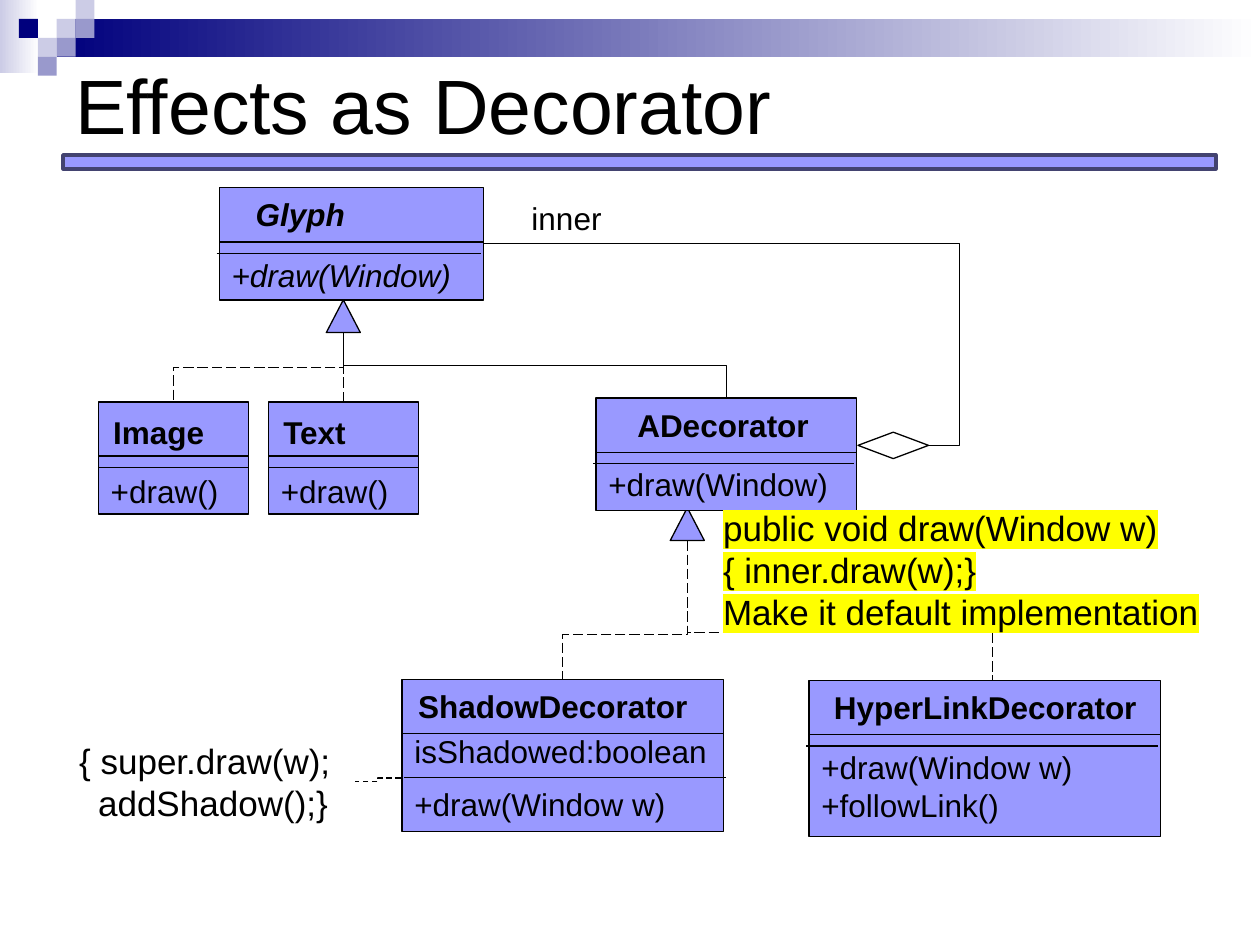
from lxml.etree import SubElement
from pptx import Presentation
from pptx.dml.color import RGBColor
from pptx.enum.dml import MSO_LINE
from pptx.enum.shapes import MSO_CONNECTOR, MSO_SHAPE
from pptx.enum.text import MSO_ANCHOR, PP_ALIGN
from pptx.oxml.ns import qn
from pptx.util import Inches, Pt

BLACK = RGBColor(0x00, 0x00, 0x00)
WHITE = RGBColor(0xFF, 0xFF, 0xFF)
NAVY = RGBColor(0x00, 0x00, 0x7D)
PALE = RGBColor(0xCC, 0xCC, 0xE6)
LAVENDER = RGBColor(0x99, 0x99, 0xCC)
VIOLET = RGBColor(0x99, 0x99, 0xFF)
RULE_EDGE = RGBColor(0x43, 0x43, 0x70)
FONT = "Arial"


def add_preset(slide, kind, left, top, width, height, fill=None, edge=None, weight=0.75):
    shape = slide.shapes.add_shape(
        kind, Inches(left), Inches(top), Inches(width), Inches(height))
    shape.shadow.inherit = False
    if fill is None:
        shape.fill.background()
    else:
        shape.fill.solid()
        shape.fill.fore_color.rgb = fill
    if edge is None:
        shape.line.fill.background()
    else:
        shape.line.color.rgb = edge
        shape.line.width = Pt(weight)
    return shape


def add_text(slide, left, top, width, height, lines, size=18, bold=False, italic=False):
    box = slide.shapes.add_textbox(
        Inches(left), Inches(top), Inches(width), Inches(height))
    frame = box.text_frame
    frame.word_wrap = True
    frame.text = "\n".join(lines)
    for paragraph in frame.paragraphs:
        for run in paragraph.runs:
            font = run.font
            font.name, font.size, font.color.rgb = FONT, Pt(size), BLACK
            font.bold, font.italic = bold, italic
    return frame


def add_line(slide, begin, end, kind=MSO_CONNECTOR.STRAIGHT, dash=None):
    """Join two points given in EMU."""
    connector = slide.shapes.add_connector(kind, *map(int, begin + end))
    connector.line.color.rgb = BLACK
    connector.line.width = Pt(0.75)
    if dash is not None:
        connector.line.dash_style = dash
    SubElement(connector._element.spPr, qn("a:effectLst"))
    return connector


def add_elbow(slide, begin, end, bend=0.5, dash=None):
    """Bent line that leaves sideways and turns at the given share of its width."""
    connector = add_line(slide, begin, end, MSO_CONNECTOR.ELBOW, dash)
    adjustments = connector._element.spPr.find(qn("a:prstGeom")).get_or_add_avLst()
    SubElement(adjustments, qn("a:gd"), name="adj1", fmla=f"val {round(bend * 100000)}")
    return connector


def add_inheritance(slide, triangle, child, bend=0.5, dash=None, shift=0):
    """Bent line that drops from a triangle to the top of a child class."""
    x1, y1 = triangle.left + triangle.width / 2, triangle.top + triangle.height
    x2, y2 = child.left + child.width / 2 + Inches(shift), child.top
    center_x, center_y = (x1 + x2) / 2, (y1 + y2) / 2
    half_width, half_height = (y2 - y1) / 2, abs(x2 - x1) / 2
    side = 1 if x2 > x1 else -1
    connector = add_elbow(
        slide,
        (center_x + side * half_width, center_y - half_height),
        (center_x - side * half_width, center_y + half_height),
        bend, dash)
    connector._element.spPr.find(qn("a:xfrm")).set("rot", str((-side % 4) * 5400000))


def add_class(slide, left, top, width, height, name, members, name_at=(0.1, 0.01),
              members_at=0.49, second_rule=(-0.02, 0.52), abstract=False):
    box = add_preset(slide, MSO_SHAPE.RECTANGLE, left, top, width, height, VIOLET, BLACK)
    for x, y in ((0, 0.43), second_rule):
        add_line(slide, (Inches(left + x), Inches(top + y)),
                 (Inches(left + x + width), Inches(top + y)))
    across, down = name_at
    add_text(slide, left + across, top + down, width - across, 0.4, [name],
             bold=True, italic=abstract)
    frame = add_text(slide, left, top + members_at, width, height - members_at,
                     members, italic=abstract)
    return box, frame


def add_title(slide, left, top, width, height, text):
    title = slide.shapes.title
    title.left, title.top = Inches(left), Inches(top)
    title.width, title.height = Inches(width), Inches(height)
    frame = title.text_frame
    frame.text = text
    frame.vertical_anchor = MSO_ANCHOR.MIDDLE
    frame.paragraphs[0].alignment = PP_ALIGN.LEFT
    font = frame.paragraphs[0].runs[0].font
    font.name, font.size, font.color.rgb = FONT, Pt(44), BLACK


def add_banner(slide, left, top, width):
    """Two fading bars with a checker of small squares, and the rule below the title."""
    unit = 0.15
    bars = ((0, 0, 0.31, 0.58, PALE), (3 * unit, unit, width - 3 * unit, 2 * unit, NAVY))
    for x, y, bar_width, bar_height, start in bars:
        bar = add_preset(slide, MSO_SHAPE.RECTANGLE, left + x, top + y,
                         bar_width, bar_height, start)
        bar.fill.gradient()
        bar.fill.gradient_angle = 0
        for stop, color in zip(bar.fill.gradient_stops, (start, WHITE)):
            stop.color.rgb = color
    squares = ((3, 1, PALE), (4, 0, PALE), (4, 1, LAVENDER), (2, 2, PALE),
               (1, 1, NAVY), (3, 2, LAVENDER), (2, 3, LAVENDER))
    for column, row, color in squares:
        add_preset(slide, MSO_SHAPE.RECTANGLE, left + column * unit, top + row * unit,
                   unit, unit, color)
    add_preset(slide, MSO_SHAPE.RECTANGLE, left + 0.5, top + 1.23, width - 0.85, 0.11,
               VIOLET, RULE_EDGE, 2)


def add_highlighted_note(slide, left, top, width, height, lines):
    frame = add_text(slide, left, top, width, height, lines, size=20)
    for paragraph in frame.paragraphs:
        for run in paragraph.runs:
            properties = run._r.get_or_add_rPr()
            highlight = SubElement(properties, qn("a:highlight"))
            SubElement(highlight, qn("a:srgbClr"), val="FFFF00")
            properties.find(qn("a:solidFill")).addnext(highlight)


def add_shadow_note(slide, left, top, width, height):
    frame = add_text(slide, left, top, width, height,
                     ["{ super.draw(w);", "addShadow();}"], size=20)
    frame.paragraphs[1]._p.get_or_add_pPr().set("marL", str(Inches(0.15)))
    right, middle = left + width, top + height / 2
    add_elbow(slide, (Inches(right + 0.36), Inches(middle - 0.03)),
              (Inches(right), Inches(middle)), dash=MSO_LINE.DASH)


def add_class_diagram(slide, left, top):
    def class_at(x, y, *details, **options):
        return add_class(slide, left + x, top + y, *details, **options)

    def triangle_at(x, y):
        return add_preset(slide, MSO_SHAPE.ISOSCELES_TRIANGLE, left + x, top + y,
                          0.27, 0.26, VIOLET, BLACK)

    glyph, _ = class_at(0.96, 0, 2.1, 0.89, "Glyph", ["+draw(Window)"],
                        name_at=(0.19, 0.01), abstract=True)
    image, text = [
        class_at(x, 1.7, 1.19, 0.89, name, ["+draw()"], name_at=(0.02, 0.04),
                 members_at=0.51, second_rule=(0, 0.52))[0]
        for x, name in ((0, "Image"), (1.35, "Text"))]
    shadow, shadow_members = class_at(
        2.41, 3.9, 2.55, 1.21, "ShadowDecorator", ["isShadowed:boolean", "+draw(Window w)"],
        name_at=(0.03, 0.01), members_at=0.37, second_rule=(0.02, 0.78))
    shadow_members.paragraphs[1].space_before = Pt(9)
    hyperlink, _ = class_at(5.64, 3.91, 2.79, 1.24, "HyperLinkDecorator",
                            ["+draw(Window w)", "+followLink()"])

    glyph_triangle = triangle_at(1.81, 0.89)
    decorator_triangle = triangle_at(4.54, 2.54)
    add_inheritance(slide, decorator_triangle, shadow, 0.68, MSO_LINE.LONG_DASH)
    add_inheritance(slide, decorator_triangle, hyperlink, 0.66, MSO_LINE.LONG_DASH, 0.06)
    decorator, _ = class_at(3.95, 1.67, 2.07, 0.89, "ADecorator", ["+draw(Window)"],
                            name_at=(0.23, 0.01), members_at=0.48)
    add_inheritance(slide, glyph_triangle, decorator)
    add_inheritance(slide, glyph_triangle, image, dash=MSO_LINE.LONG_DASH)
    text_top = (text.left + text.width / 2, text.top)
    text_link = add_line(
        slide, text_top, (text_top[0], glyph_triangle.top + glyph_triangle.height),
        dash=MSO_LINE.LONG_DASH)
    text_link.begin_connect(text, 0)

    diamond = add_preset(slide, MSO_SHAPE.DIAMOND, left + 6.03, top + 1.94, 0.56, 0.21,
                         edge=BLACK)
    add_elbow(slide, (diamond.left + diamond.width, diamond.top + diamond.height / 2),
              (glyph.left + glyph.width, glyph.top + glyph.height / 2), -0.07)
    add_text(slide, left + 3.34, top + 0.04, 0.8, 0.4, ["inner"])


def main():
    presentation = Presentation()
    presentation.slide_width, presentation.slide_height = Inches(10), Inches(7.5)
    slide = presentation.slides.add_slide(presentation.slide_layouts[5])
    add_banner(slide, 0, 0, 10)
    add_title(slide, 0.5, 0.07, 9, 1.5, "Effects as Decorator")
    add_class_diagram(slide, 0.78, 1.49)
    add_shadow_note(slide, 0.53, 5.82, 2.29, 0.77)
    add_highlighted_note(slide, 5.64, 3.97, 4.08, 1.11, [
        "public void draw(Window w)", "{ inner.draw(w);}", "Make it default implementation"])
    presentation.save("out.pptx")


if __name__ == "__main__":
    main()
